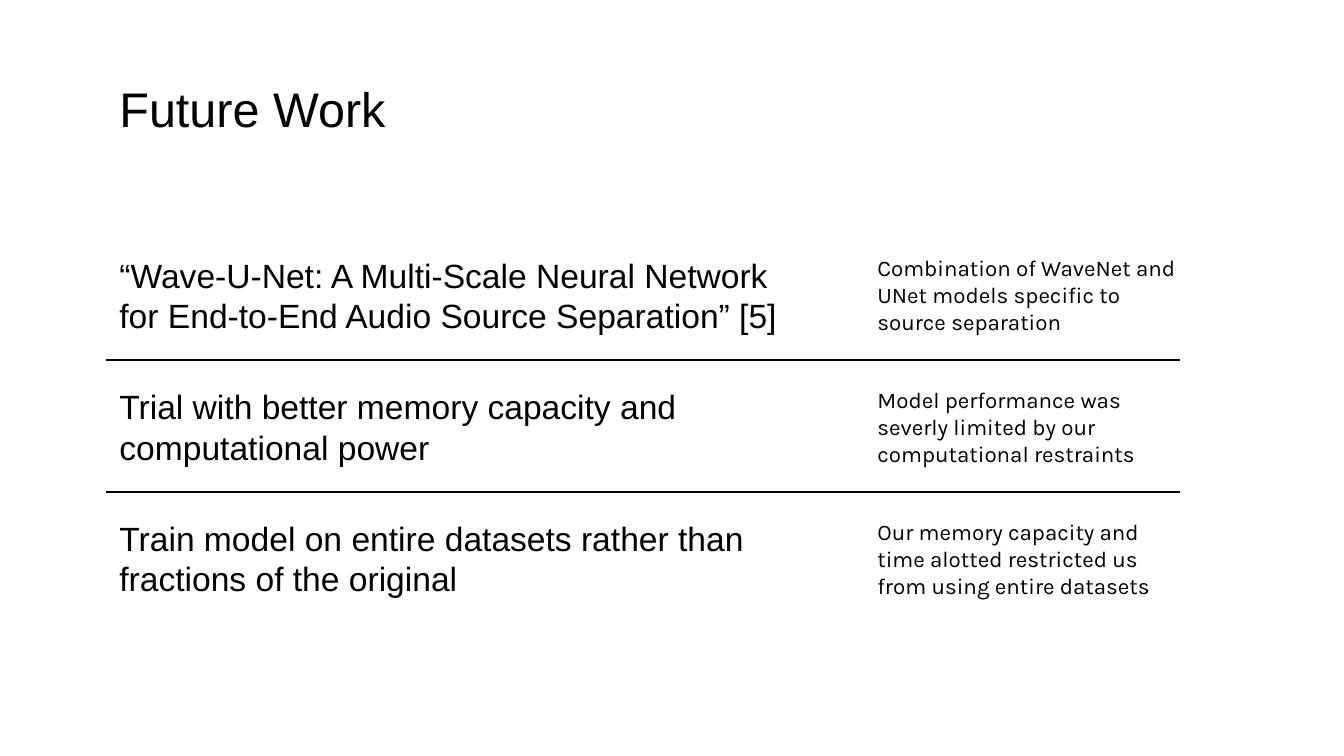
from lxml.etree import SubElement
from pptx import Presentation
from pptx.dml.color import RGBColor
from pptx.enum.shapes import MSO_CONNECTOR as Link
from pptx.enum.text import MSO_ANCHOR as Anchor
from pptx.oxml.ns import qn
from pptx.util import Inches, Pt

BLACK = RGBColor(0, 0, 0)
WHITE = RGBColor(255, 255, 255)
WIDTH = 10
LEFT = 0.79
TOP = 1.88
PITCH = 0.98
ROWS = [
    ("“Wave-U-Net: A Multi-Scale Neural Network for End-to-End Audio Source Separation” [5]",
     "Combination of WaveNet and UNet models specific to source separation"),
    ("Trial with better memory capacity and computational power",
     "Model performance was severly limited by our computational restraints"),
    ("Train model on entire datasets rather than fractions of the original",
     "Our memory capacity and time alotted restricted us from using entire datasets"),
]


class Deck:
    def __init__(self, slide):
        self.slide = slide
        fill = slide.background.fill
        fill.solid()
        fill.fore_color.rgb = WHITE

    def text(self, words, box, size, font="Arial", anchor=Anchor.MIDDLE):
        shape = self.slide.shapes.add_textbox(*map(Inches, box))
        frame = shape.text_frame
        frame.word_wrap = True
        frame.vertical_anchor = anchor
        frame.margin_left = frame.margin_right = Inches(0.1)
        frame.margin_top = frame.margin_bottom = Inches(0.1)
        para = frame.paragraphs[0]
        para.text = words
        para.font.name = font
        para.font.size = Pt(size)
        para.font.color.rgb = BLACK

    def rule(self, left, right, top):
        line = self.slide.shapes.add_connector(
            Link.STRAIGHT, Inches(left), Inches(top), Inches(right), Inches(top))
        line.line.color.rgb = BLACK
        line.line.width = Pt(0.75)
        SubElement(line._element.spPr, qn("a:effectLst"))


def main():
    prs = Presentation()
    prs.slide_width = Inches(WIDTH)
    prs.slide_height = Inches(WIDTH * 9 / 16)
    deck = Deck(prs.slides.add_slide(prs.slide_layouts[6]))

    deck.text("Future Work", (LEFT, 0.49, 8.43, 0.63), 26, anchor=Anchor.TOP)
    for i, (head, note) in enumerate(ROWS):
        top = TOP + i * PITCH
        deck.text(head, (LEFT, top + 0.1, 5.31, 0.43), 18)
        deck.text(note, (6.43, top, 2.46, 0.63), 12, "Karla")
        if i:
            deck.rule(LEFT, 8.78, top - 0.18)

    prs.save("out.pptx")


if __name__ == "__main__":
    main()
